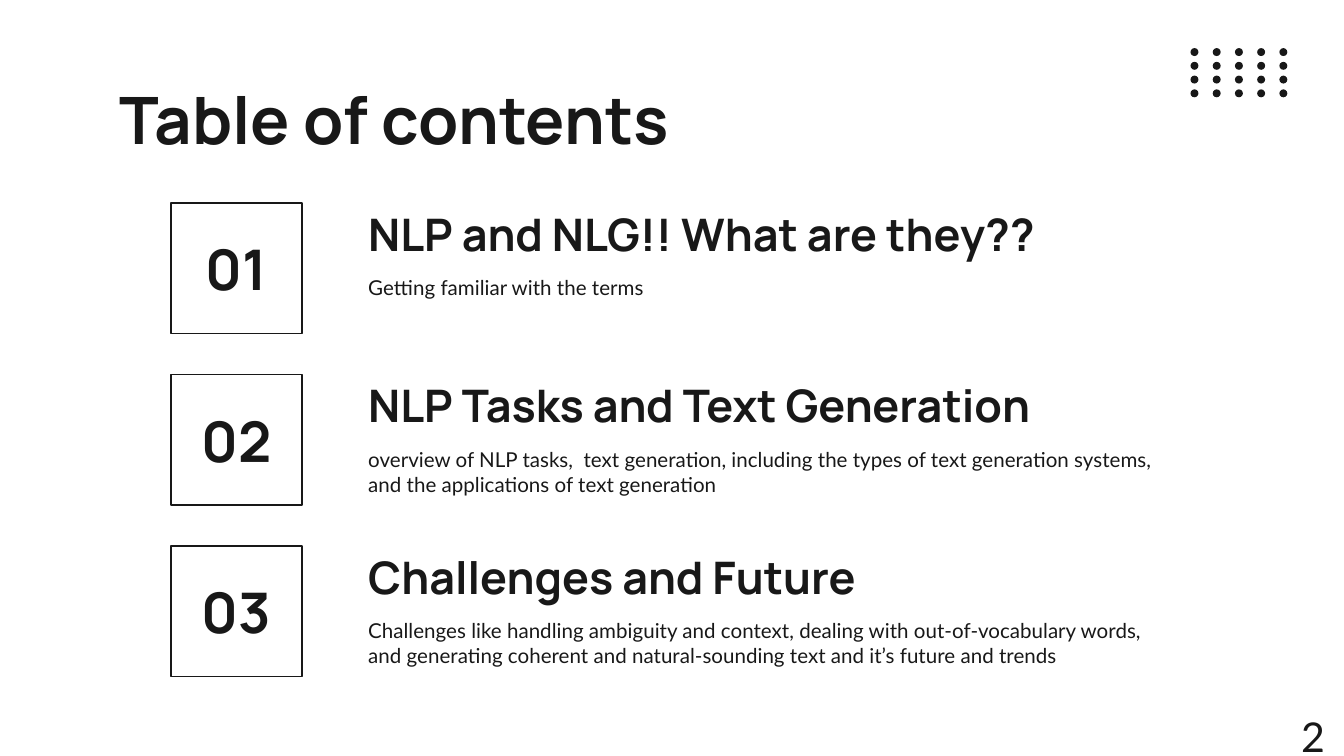
import pptx
import pptx.dml.color
import pptx.enum.shapes
import pptx.enum.text
import pptx.util

Cm = pptx.util.Cm
Pt = pptx.util.Pt
Align = pptx.enum.text.PP_ALIGN
Anchor = pptx.enum.text.MSO_ANCHOR
Preset = pptx.enum.shapes.MSO_SHAPE

COLORS = {"ink": "181818", "paper": "FFFFFF"}
HEADING_FONT = "Manrope"
BODY_FONT = "Lato"
ROW_PITCH = 3.24

CHAPTERS = [
    ("NLP and NLG!! What are they??", "Getting familiar with the terms"),
    ("NLP Tasks and Text Generation",
     "overview of NLP tasks,  text generation, including the types of text "
     "generation systems, and the applications of text generation"),
    ("Challenges and Future",
     "Challenges like handling ambiguity and context, dealing with "
     "out-of-vocabulary words, and generating coherent and natural-sounding "
     "text and it’s future and trends"),
]


class ContentsSlide:
    """Holds the slide and its style; every length is in centimetres."""

    def __init__(self, slide):
        self.slide = slide
        self.ink = pptx.dml.color.RGBColor.from_string(COLORS["ink"])
        paper = slide.background.fill
        paper.solid()
        paper.fore_color.rgb = pptx.dml.color.RGBColor.from_string(COLORS["paper"])

    def set_text(self, shape, wording, size, font, bold, align, anchor):
        frame = shape.text_frame
        frame.word_wrap = True
        frame.vertical_anchor = anchor
        frame.margin_left = frame.margin_right = Cm(0.25)
        frame.margin_top = frame.margin_bottom = Cm(0.25)
        paragraph = frame.paragraphs[0]
        paragraph.text = wording
        paragraph.alignment = align
        paragraph.font.size = Pt(size)
        paragraph.font.name = font
        paragraph.font.bold = bold
        paragraph.font.color.rgb = self.ink

    def text(self, box, wording, size, font=BODY_FONT, bold=False,
             align=Align.LEFT, anchor=Anchor.TOP):
        shape = self.slide.shapes.add_textbox(*map(Cm, box))
        self.set_text(shape, wording, size, font, bold, align, anchor)

    def number_box(self, box, number):
        shape = self.slide.shapes.add_shape(Preset.RECTANGLE, *map(Cm, box))
        shape.shadow.inherit = False
        shape.fill.background()
        shape.line.color.rgb = self.ink
        shape.line.width = Pt(0.75)
        self.set_text(shape, number, 30, HEADING_FONT, True, Align.CENTER, Anchor.MIDDLE)

    def dot_grid(self, left, top, columns, rows):
        group = self.slide.shapes.add_group_shape()
        for column in range(columns):
            for row in range(rows):
                dot = group.shapes.add_shape(
                    Preset.OVAL, Cm(left + column * 0.42), Cm(top + row * 0.26),
                    Cm(0.15), Cm(0.15))
                dot.shadow.inherit = False
                dot.fill.solid()
                dot.fill.fore_color.rgb = self.ink
                dot.line.fill.background()

    def chapter(self, index, heading, summary):
        drop = index * ROW_PITCH
        self.text((6.71, 3.7 + drop, 15.49, 1.47), heading, 24,
                  HEADING_FONT, bold=True, anchor=Anchor.BOTTOM)
        self.text((6.71, 4.96 + drop, 15.49, 1.47), summary, 11)
        self.number_box((3.23, 3.84 + drop, 2.48, 2.47), f"{index + 1:02}")


def main():
    deck = pptx.Presentation()
    deck.slide_width = Cm(25.4)
    deck.slide_height = Cm(14.29)
    contents = ContentsSlide(deck.slides.add_slide(deck.slide_layouts[6]))

    contents.dot_grid(22.5, 0.91, columns=5, rows=4)
    contents.text((2.01, 1.24, 21.41, 1.6), "Table of contents", 35,
                  HEADING_FONT, bold=True)
    for index, (heading, summary) in enumerate(CHAPTERS):
        contents.chapter(index, heading, summary)
    contents.text((23.77, 13.19, 1.52, 1.08), "2", 22, align=Align.RIGHT)

    deck.save("out.pptx")


if __name__ == "__main__":
    main()
